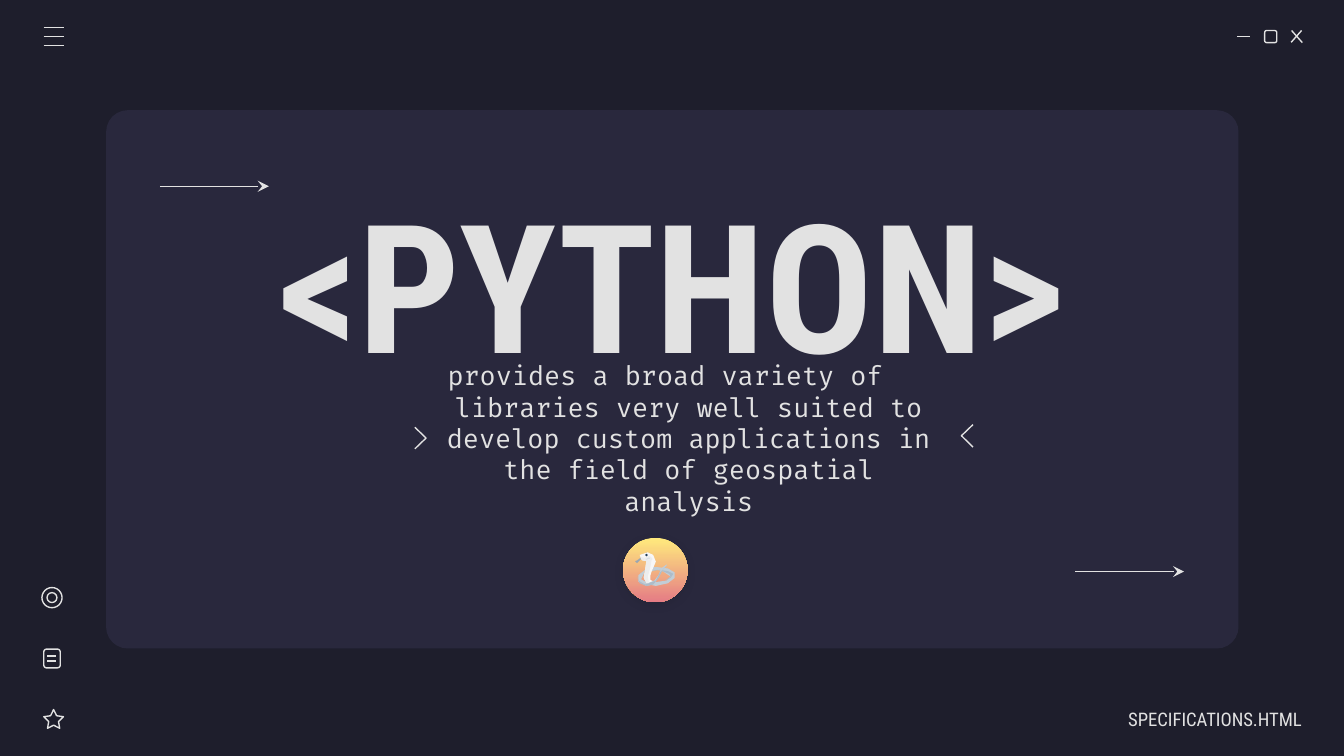
from lxml.etree import SubElement
from pptx import Presentation
from pptx.dml.color import RGBColor
from pptx.enum.shapes import MSO_CONNECTOR, MSO_SHAPE
from pptx.enum.text import MSO_ANCHOR, MSO_AUTO_SIZE, PP_ALIGN
from pptx.oxml.ns import qn
from pptx.util import Inches, Pt

COLORS = {
    "background": "1E1E2C", "panel": "29283D", "light": "E2E2E2",
    "disc top": "FFEA7D", "disc bottom": "E57C85",
    "glint": "657E93", "tongue": "98A6B3", "coil": "C1CDD6", "coil shade": "ADBCC9",
    "body": "F7F7F7", "belly": "EDEDED", "jaw": "D8E0E6", "eye": "203B56",
}

# Positions are in hundredths of an inch: thousandths of the slide width
SLIDE_W, SLIDE_H = Inches(10), Inches(5.625)
UNIT = SLIDE_W / 1000

PANEL = (79, 82, 842.5, 400.5)

# Texts: placeholder index, text, box, margins (l, t, r, b), alignment, font, indent
FOOTER = (2, "SPECIFICATIONS.HTML", (792.5, 520, 176, 30), (10, 10, 0, 10),
          PP_ALIGN.RIGHT,
          {"name": "Roboto Condensed", "size": Pt(10), "bold": False}, (0, 0))
TITLE = (0, "<PYTHON>", (196.5, 139, 607, 142), (10, 10, 10, 10),
         PP_ALIGN.CENTER,
         {"name": "Roboto Condensed", "size": Pt(96), "bold": True}, (0, 0))
SUMMARY = (1, "provides a broad variety of libraries very well suited to develop "
              "custom applications in the field of geospatial analysis",
           (261, 277.5, 453, 97), (10, 10, 10, 10), PP_ALIGN.CENTER,
           {"name": "Fira Code", "size": Pt(14), "bold": False}, (50, -35))

# Icon groups: outlines (preset, box, adjustments) and strokes (x1, y1, x2, y2)
WINDOW = (
    [(MSO_SHAPE.ROUNDED_RECTANGLE, (941, 22.7, 9, 9), [0.17])],
    [(920.7, 27.2, 930, 27.2), (961, 22.7, 969, 31.7), (968.5, 22.7, 960.7, 31.5)],
)
MENU = ([], [(32.5, y, 47.3, y) for y in (20.5, 27.2, 33.8)])
SIDE_ICONS = (
    [(MSO_SHAPE.STAR_5_POINT, (32.6, 528, 14.6, 14), [0.25]),
     (MSO_SHAPE.ROUNDED_RECTANGLE, (32.6, 483, 12.3, 14), [0.17]),
     (MSO_SHAPE.OVAL, (31.2, 437.2, 15, 15), []),
     (MSO_SHAPE.OVAL, (35, 441, 7.4, 7.4), [])],
    [(35, y, 42, y) for y in (488.2, 491.7)],
)
ARROWS = [(119, 138.6, 200, 138.6), (800, 425.3, 881, 425.3)]
CHEVRONS = [
    [(308.7, 318), (317, 326), (308.7, 334)],
    [(724, 332.7), (715.4, 324.3), (724, 316)],
]

# Snake parts from back to front: fill, line and corner points
DISC = (463.6, 400.2, 48, 48)
SNAKE = [
    ("glint", None, [(481, 411), (480, 412), (481, 412)]),
    ("tongue", None, [(478, 414), (474, 417), (472.5, 417.5), (473.5, 418.5),
                      (474, 419), (475, 418), (478, 415)]),
    ("coil", None, [(489, 422), (486, 422), (485, 425), (489, 424), (493, 425),
                    (499, 429), (496, 432), (489, 433), (486, 433), (483, 435),
                    (488, 436), (497, 434), (502, 430), (502, 426), (497, 423)]),
    ("coil shade", None, [(491, 424), (485, 425), (489, 424), (493, 425), (498, 427),
                          (499, 429), (495, 432), (499, 430), (501, 427), (497, 425)]),
    ("body", None, [(482, 411), (476, 413), (477, 415.5), (480, 417), (481, 417.5),
                    (480, 424), (479, 430), (481, 434), (483, 435), (487, 433),
                    (484, 431.5), (484, 428), (485, 425), (488, 418), (486, 413)]),
    ("coil", None, [(496, 420), (492, 423), (490, 428), (487, 432), (482, 434),
                    (477, 431), (479, 427), (480, 424), (475, 428), (475, 433),
                    (481, 436), (486, 435), (490, 430), (493, 424), (496, 421)]),
    ("coil shade", None, [(496, 421), (491, 426), (488, 432), (480, 435), (475, 432),
                          (474, 429), (476, 434), (481, 436), (486, 435), (490, 430),
                          (493, 424)]),
    ("belly", None, [(485, 416), (481, 417), (480, 424), (479, 430), (481, 434),
                     (483, 434), (482, 429), (484, 422)]),
    ("jaw", "belly", [(483, 414), (480, 415.7), (477, 415), (478, 416.7), (481, 417),
                      (485, 416)]),
    ("eye", None, [(481, 412), (480, 413), (481, 414), (482, 413)]),
]


def emu(*lengths):
    return [round(length * UNIT) for length in lengths]


def rgb(name):
    return RGBColor.from_string(COLORS[name])


def style(shape, fill=None, line=None):
    if fill:
        shape.fill.solid()
        shape.fill.fore_color.rgb = rgb(fill)
    else:
        shape.fill.background()
    if line:
        shape.line.color.rgb = rgb(line)
        shape.line.width = Pt(0.75)
    else:
        shape.line.fill.background()
    shape.shadow.inherit = False


def add_preset(shapes, preset, box, adjustments=(), **look):
    shape = shapes.add_shape(preset, *emu(*box))
    for index, value in enumerate(adjustments):
        shape.adjustments[index] = value
    style(shape, **look)
    return shape


def add_line(shapes, ends, arrow=False):
    line = shapes.add_connector(MSO_CONNECTOR.STRAIGHT, *emu(*ends))
    line.line.color.rgb = rgb("light")
    line.line.width = Pt(0.75)
    properties = line.element.spPr
    if arrow:
        SubElement(properties.find(qn("a:ln")), qn("a:tailEnd"), type="stealth")
    SubElement(properties, qn("a:effectLst"))


def add_outline(shapes, points, close, **look):
    start, *rest = [emu(*point) for point in points]
    builder = shapes.build_freeform(*start, scale=1.0)
    builder.add_line_segments(rest, close=close)
    style(builder.convert_to_shape(), **look)


def add_icons(shapes, outlines, strokes):
    group = shapes.add_group_shape().shapes
    for preset, box, adjustments in outlines:
        add_preset(group, preset, box, adjustments, line="light")
    for ends in strokes:
        add_line(group, ends)


def add_snake(shapes):
    group = shapes.add_group_shape().shapes
    disc = add_preset(group, MSO_SHAPE.OVAL, DISC)
    disc.fill.gradient()
    disc.fill.gradient_angle = 270
    for stop, name in zip(disc.fill.gradient_stops, ("disc top", "disc bottom")):
        stop.color.rgb = rgb(name)
    shadow = SubElement(disc.element.spPr.find(qn("a:effectLst")), qn("a:outerShdw"),
                        blurRad=str(Pt(4.5)), dist=str(Pt(1.5)), dir="5400000")
    tint = SubElement(shadow, qn("a:srgbClr"), val=COLORS["background"])
    SubElement(tint, qn("a:alpha"), val="30000")
    for fill, line, points in SNAKE:
        add_outline(group, points, close=True, fill=fill, line=line)


def place_text(slide, index, text, box, margins, align, font, indent):
    holder = slide.placeholders[index]
    holder.element.getparent().append(holder.element)  # bring to front
    holder.left, holder.top, holder.width, holder.height = emu(*box)
    frame = holder.text_frame
    frame.word_wrap = True
    frame.auto_size = MSO_AUTO_SIZE.NONE
    frame.vertical_anchor = MSO_ANCHOR.MIDDLE
    for side, margin in zip(("left", "top", "right", "bottom"), emu(*margins)):
        setattr(frame, f"margin_{side}", margin)
    paragraph = frame.paragraphs[0]
    properties = paragraph._p.get_or_add_pPr()
    SubElement(properties, qn("a:buNone"))
    for key, value in zip(("marL", "indent"), emu(*indent)):
        properties.set(key, str(value))
    paragraph.alignment = align
    paragraph.space_before = Pt(0)
    run = paragraph.add_run()
    run.text = text
    for key, value in font.items():
        setattr(run.font, key, value)
    run.font.color.rgb = rgb("light")


def main():
    deck = Presentation()
    deck.slide_width, deck.slide_height = SLIDE_W, SLIDE_H
    slide = deck.slides.add_slide(deck.slide_layouts[3])
    shapes = slide.shapes
    slide.background.fill.solid()
    slide.background.fill.fore_color.rgb = rgb("background")

    # Panel and icons
    add_preset(shapes, MSO_SHAPE.ROUNDED_RECTANGLE, PANEL, [0.04], fill="panel")
    for outlines, strokes in (WINDOW, MENU, SIDE_ICONS):
        add_icons(shapes, outlines, strokes)

    # Footer and title
    for content in (FOOTER, TITLE):
        place_text(slide, *content)

    # Chevrons and arrows
    for points in CHEVRONS:
        add_outline(shapes, points, close=False, line="light")
    for ends in ARROWS:
        add_line(shapes, ends, arrow=True)

    # Snake on its disc, then the summary
    add_snake(shapes)
    place_text(slide, *SUMMARY)

    deck.save("out.pptx")


if __name__ == "__main__":
    main()
